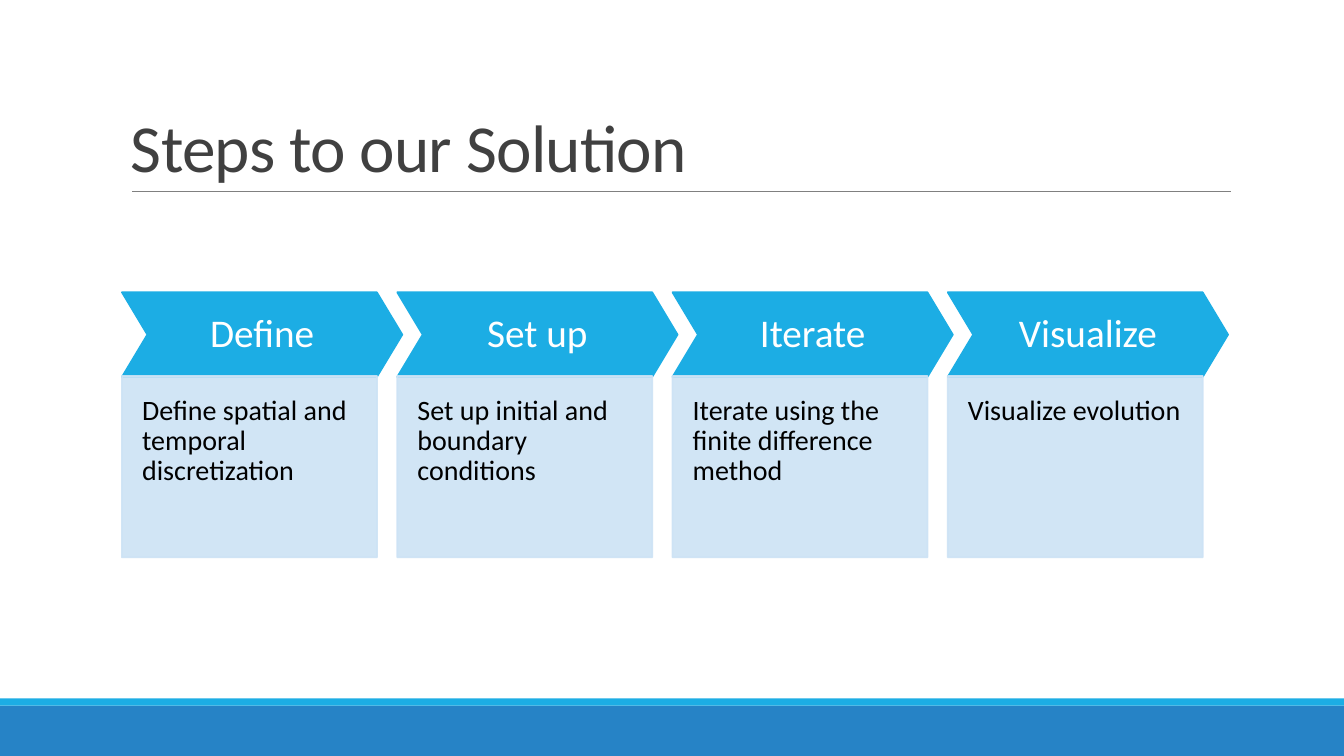
from lxml import etree
from pptx import Presentation, util as u
from pptx.dml.color import RGBColor
from pptx.enum import shapes, text
from pptx.oxml import ns

WHITE = RGBColor(0xFF, 0xFF, 0xFF)
BLACK = RGBColor(0x00, 0x00, 0x00)
TITLE_GRAY = RGBColor(0x40, 0x40, 0x40)
RULE_GRAY = RGBColor(0x80, 0x80, 0x80)
CYAN = RGBColor(0x1C, 0xAD, 0xE4)
BLUE = RGBColor(0x26, 0x83, 0xC6)
PALE_BLUE = RGBColor(0xCD, 0xE3, 0xF5)

STEPS = [
    ("Define", "Define spatial and temporal discretization"),
    ("Set up", "Set up initial and boundary conditions"),
    ("Iterate", "Iterate using the finite difference method"),
    ("Visualize", "Visualize evolution"),
]
WIDTH, HEIGHT = 13.33, 7.5
FIRST_LEFT, PITCH = 1.21, 2.73
HEAD_TOP, HEAD_WIDTH, HEAD_HEIGHT = 2.9, 2.78, 0.84
BODY_TOP, BODY_WIDTH, BODY_HEIGHT = 3.73, 2.53, 1.8
FOOTER_TOP, STRIPE_HEIGHT = 7, 0.07


def add_block(kind, left, top, width, height, color, outlined=False):
    shape = slide.shapes.add_shape(
        kind, u.Inches(left), u.Inches(top), u.Inches(width), u.Inches(height))
    shape.shadow.inherit = False
    shape.fill.solid()
    shape.fill.fore_color.rgb = color
    if outlined:
        shape.line.color.rgb = color
        shape.line.width = u.Pt(1.25)
    else:
        shape.line.fill.background()
    return shape


def write(shape, words, size, color, anchor, align, margins, spacing=0.9):
    """Fill a shape with one paragraph; margins are left, top, right, bottom."""
    frame = shape.text_frame
    frame.word_wrap = True
    frame.vertical_anchor = anchor
    (frame.margin_left, frame.margin_top,
     frame.margin_right, frame.margin_bottom) = map(u.Inches, margins)
    paragraph = frame.paragraphs[0]
    paragraph.alignment = align
    paragraph.line_spacing = spacing
    run = paragraph.add_run()
    run.text = words
    run.font.name = "Calibri"
    run.font.size = u.Pt(size)
    run.font.color.rgb = color
    return run


presentation = Presentation()
presentation.slide_width = u.Inches(WIDTH)
presentation.slide_height = u.Inches(HEIGHT)
slide = presentation.slides.add_slide(presentation.slide_layouts[6])

# Footer bands
rectangle = shapes.MSO_SHAPE.RECTANGLE
add_block(rectangle, 0, FOOTER_TOP, WIDTH, HEIGHT - FOOTER_TOP, BLUE)
add_block(rectangle, 0, FOOTER_TOP - STRIPE_HEIGHT, WIDTH, STRIPE_HEIGHT, CYAN)

# Title and the rule under it
rule = slide.shapes.add_connector(
    shapes.MSO_CONNECTOR.STRAIGHT,
    u.Inches(1.31), u.Inches(1.9), u.Inches(12.21), u.Inches(1.9))
rule.line.color.rgb = RULE_GRAY
rule.line.width = u.Pt(0.5)
etree.SubElement(rule._element.spPr, ns.qn("a:effectLst"))

title = slide.shapes.add_textbox(
    u.Inches(1.2), u.Inches(0.31), u.Inches(11), u.Inches(1.59))
title_run = write(title, "Steps to our Solution", 48, TITLE_GRAY,
                  text.MSO_ANCHOR.BOTTOM, text.PP_ALIGN.LEFT,
                  (0.1, 0.05, 0.1, 0.05), spacing=0.85)
title_run.font._element.set("spc", "-50")

# One chevron with a description box per step
for column, (name, description) in enumerate(STEPS):
    left = FIRST_LEFT + column * PITCH
    chevron = add_block(shapes.MSO_SHAPE.CHEVRON, left, HEAD_TOP,
                        HEAD_WIDTH, HEAD_HEIGHT, CYAN, outlined=True)
    chevron.adjustments[0] = 0.3
    write(chevron, name, 28, WHITE, text.MSO_ANCHOR.MIDDLE,
          text.PP_ALIGN.CENTER, (0.1, 0.1, 0.1, 0.1))

    body = add_block(rectangle, left, BODY_TOP,
                     BODY_WIDTH, BODY_HEIGHT, PALE_BLUE, outlined=True)
    for color in body._element.spPr.iter(ns.qn("a:srgbClr")):
        etree.SubElement(color, ns.qn("a:alpha"), val="90000")
    write(body, description, 20, BLACK, text.MSO_ANCHOR.TOP,
          text.PP_ALIGN.LEFT, (0.2, 0.2, 0.2, 0.4))

presentation.save("out.pptx")
